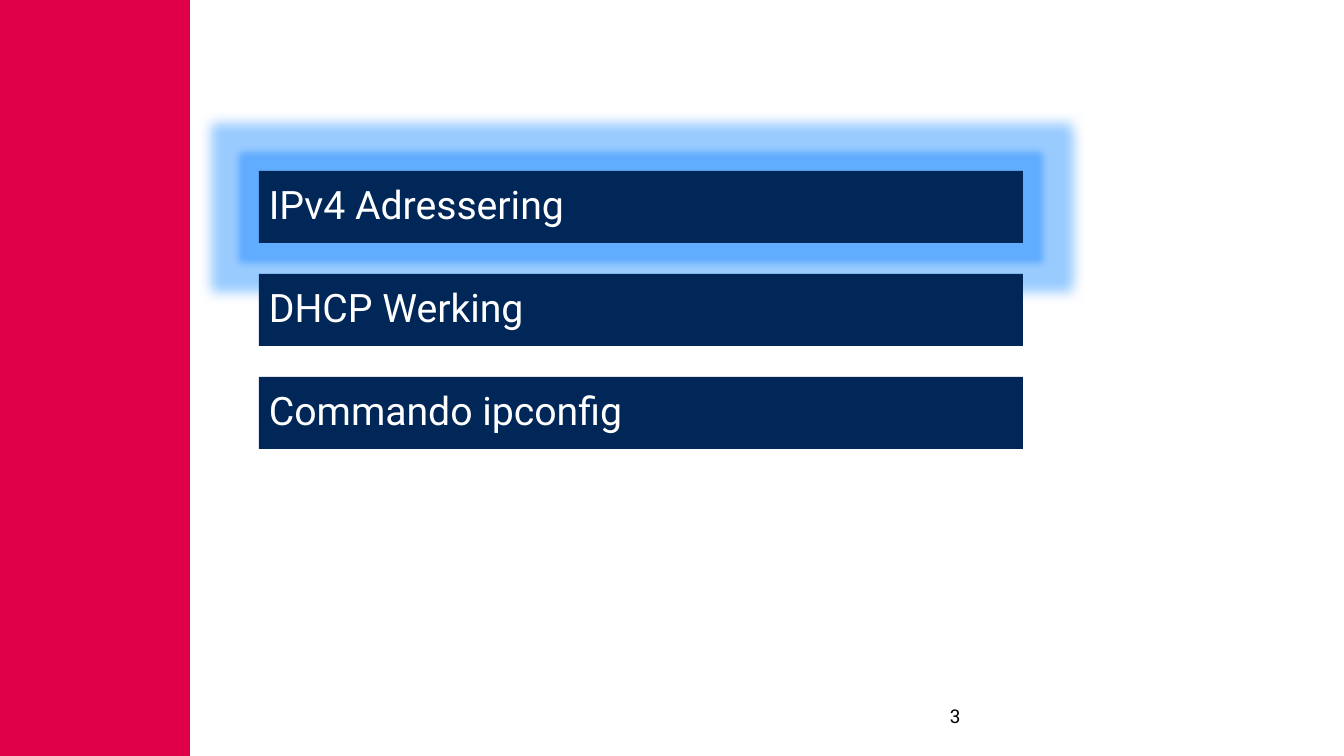
import pptx
import pptx.dml.color
import pptx.enum.shapes
import pptx.enum.text
import pptx.oxml
import pptx.oxml.ns
import pptx.util

PX = 914400 / 100.8
BAR_LEFT, BAR_TOP, BAR_WIDTH, BAR_HEIGHT, BAR_STEP = 259, 171, 764, 72, 103
HALO_MARGIN = 12
TOPICS = ["IPv4 Adressering", "DHCP Werking", "Commando ipconfig"]


def color(value):
    return pptx.dml.color.RGBColor.from_string(value)


def add_box(left, top, width, height, fill=None, glow=None, text="", size=28, font_color="FFFFFF"):
    """Add a rectangle; glow is a pair of radius in px and colour."""
    shape = slide.shapes.add_shape(
        pptx.enum.shapes.MSO_SHAPE.RECTANGLE,
        *(round(length * PX) for length in (left, top, width, height)))
    shape.shadow.inherit = False
    shape.line.fill.background()
    if fill:
        shape.fill.solid()
        shape.fill.fore_color.rgb = color(fill)
    else:
        shape.fill.background()
    if glow:
        radius, glow_color = glow
        effects = shape._element.spPr.find(pptx.oxml.ns.qn("a:effectLst"))
        effects.append(pptx.oxml.parse_xml(
            f'<a:glow {pptx.oxml.ns.nsdecls("a")} rad="{round(radius * PX)}">'
            f'<a:srgbClr val="{glow_color}"/></a:glow>'))
    if text:
        frame = shape.text_frame
        frame.word_wrap = True
        paragraph = frame.paragraphs[0]
        paragraph.text = text
        paragraph.alignment = pptx.enum.text.PP_ALIGN.LEFT
        font_format = {"name": "Roboto", "size": pptx.util.Pt(size)}
        for name, value in font_format.items():
            setattr(paragraph.font, name, value)
        paragraph.font.color.rgb = color(font_color)
    return shape


presentation = pptx.Presentation()
presentation.slide_width = round(1344 * PX)
presentation.slide_height = round(756 * PX)
slide = presentation.slides.add_slide(presentation.slide_layouts[6])

add_box(0, 0, 190, 756, fill="E00049")

slide_number = add_box(940, 700, 235, 40, text="3", size=13.5, font_color="000000")
slide_number.text_frame.vertical_anchor = pptx.enum.text.MSO_ANCHOR.TOP

# The first topic is highlighted by a wide pale glow around a narrow bright one
add_box(BAR_LEFT - HALO_MARGIN, BAR_TOP - HALO_MARGIN,
        BAR_WIDTH + 2 * HALO_MARGIN, BAR_HEIGHT + 2 * HALO_MARGIN,
        fill="99CBFF", glow=(25, "99CBFF"))

for index, topic in enumerate(TOPICS):
    bar = add_box(BAR_LEFT, BAR_TOP + index * BAR_STEP, BAR_WIDTH, BAR_HEIGHT,
                  fill="002757", glow=(13, "60ACFF") if index == 0 else None, text=topic)
    bar.text_frame.vertical_anchor = pptx.enum.text.MSO_ANCHOR.MIDDLE
    bar.text_frame.paragraphs[0].line_spacing = 0.9

presentation.save("out.pptx")
